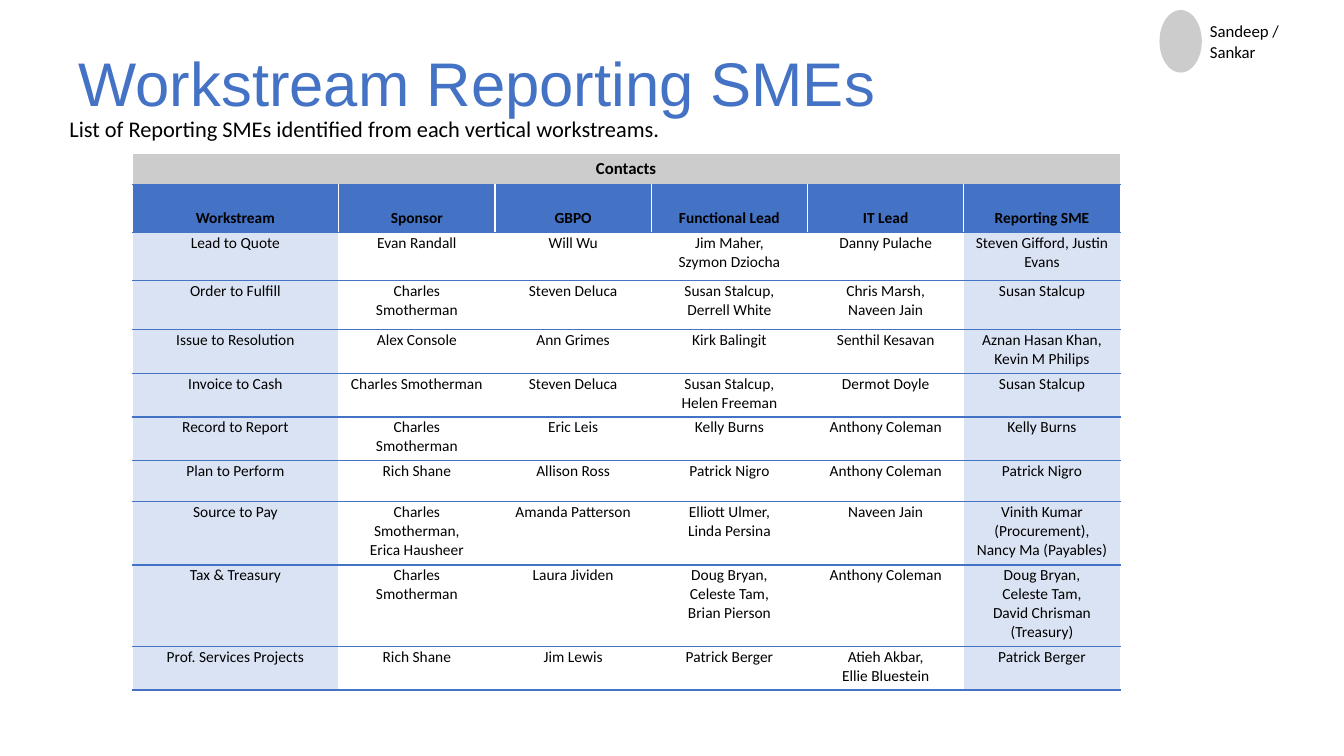
from lxml.etree import SubElement
from pptx import Presentation
from pptx.dml.color import RGBColor
from pptx.enum.shapes import MSO_SHAPE
from pptx.enum.text import MSO_ANCHOR, MSO_AUTO_SIZE, PP_ALIGN
from pptx.oxml.ns import qn
from pptx.util import Inches, Pt

SLIDE_WIDTH, SLIDE_HEIGHT = Inches(13.33), Inches(7.5)
COLORS = {
    "accent": "4472C4",
    "tint": "DAE3F3",
    "grey": "CCCCCC",
    "white": "FFFFFF",
    "black": "000000",
}

# Places as percent of the slide: left, top, width, height
PLACES = {
    "title": (5.1, 8.27, 85.97, 6.27),
    "subtitle": (4.43, 14.53, 90.85, 4.93),
    "contacts": (9.83, 20.35, 73.5, 70.8),
    "marker": (86.27, 1.33, 3.15, 8.27),
    "owner": (88.52, 2.8, 10.2, 5.33),
}
COLUMN_WIDTHS = [2.05] + [1.55] * 5
ROW_HEIGHTS = [0.29, 0.48, 0.48, 0.48, 0.44, 0.43, 0.43, 0.41, 0.63, 0.81, 0.43]

HEADINGS = ["Workstream", "Sponsor", "GBPO", "Functional Lead", "IT Lead", "Reporting SME"]
CONTACTS = [
    ["Lead to Quote", "Evan Randall", "Will Wu", "Jim Maher,\nSzymon Dziocha",
     "Danny Pulache", "Steven Gifford, Justin Evans"],
    ["Order to Fulfill", "Charles\nSmotherman", "Steven Deluca",
     "Susan Stalcup,\nDerrell White", "Chris Marsh,\nNaveen Jain", "Susan Stalcup"],
    ["Issue to Resolution", "Alex Console", "Ann Grimes", "Kirk Balingit",
     "Senthil Kesavan", "Aznan Hasan Khan,\nKevin M Philips"],
    ["Invoice to Cash", "Charles Smotherman", "Steven Deluca",
     "Susan Stalcup,\nHelen Freeman", "Dermot Doyle", "Susan Stalcup"],
    ["Record to Report", "Charles\nSmotherman", "Eric Leis", "Kelly Burns",
     "Anthony Coleman", "Kelly Burns"],
    ["Plan to Perform", "Rich Shane", "Allison Ross", "Patrick Nigro",
     "Anthony Coleman", "Patrick Nigro"],
    ["Source to Pay", "Charles\nSmotherman,\nErica Hausheer", "Amanda Patterson",
     "Elliott Ulmer,\nLinda Persina", "Naveen Jain",
     "Vinith Kumar (Procurement),\nNancy Ma (Payables)"],
    ["Tax & Treasury", "Charles\nSmotherman", "Laura Jividen",
     "Doug Bryan,\nCeleste Tam,\nBrian Pierson", "Anthony Coleman",
     "Doug Bryan,\nCeleste Tam,\nDavid Chrisman (Treasury)"],
    ["Prof. Services Projects", "Rich Shane", "Jim Lewis", "Patrick Berger",
     "Atieh Akbar,\nEllie Bluestein", "Patrick Berger"],
]


def color(name):
    return RGBColor.from_string(COLORS[name])


def set_values(target, values):
    for name, value in values.items():
        setattr(target, name, value)


def place(name):
    left, top, width, height = PLACES[name]
    return (int(SLIDE_WIDTH * left / 100), int(SLIDE_HEIGHT * top / 100),
            int(SLIDE_WIDTH * width / 100), int(SLIDE_HEIGHT * height / 100))


def write(text_frame, text, size, font="Calibri", ink="black", bold=False,
          alignment=PP_ALIGN.LEFT):
    paragraph = text_frame.paragraphs[0]
    paragraph.text = text
    paragraph.alignment = alignment
    # Fonts go on the runs, so that line breaks inside a cell keep them
    for run in paragraph.runs:
        set_values(run.font, {"name": font, "size": Pt(size), "bold": bold})
        run.font.color.rgb = color(ink)
    return paragraph


def add_title(slide, text):
    title = slide.shapes.title
    set_values(title, dict(zip(("left", "top", "width", "height"), place("title"))))
    set_values(title.text_frame, {
        "auto_size": MSO_AUTO_SIZE.NONE,
        "vertical_anchor": MSO_ANCHOR.MIDDLE,
        "word_wrap": True,
    })
    paragraph = write(title.text_frame, text, 44, "Arial", "accent")
    paragraph.line_spacing = 0.9


def add_text(slide, name, text, size, **frame_values):
    text_frame = slide.shapes.add_textbox(*place(name)).text_frame
    set_values(text_frame, {"word_wrap": True, **frame_values})
    write(text_frame, text, size)


def add_marker(slide):
    marker = slide.shapes.add_shape(MSO_SHAPE.FLOWCHART_CONNECTOR, *place("marker"))
    marker.shadow.inherit = False
    marker.fill.solid()
    marker.fill.fore_color.rgb = color("grey")
    marker.line.fill.background()


def set_borders(cell, sides):
    properties = cell._tc.get_or_add_tcPr()
    for position, (side, name) in enumerate(sides.items()):
        line = SubElement(properties, qn(f"a:ln{side}"), w=str(Pt(1)))
        fill = SubElement(line, qn("a:solidFill"))
        SubElement(fill, qn("a:srgbClr"), val=COLORS[name])
        properties.insert(position, line)


def format_cell(cell, text, fill, anchor, size=11, bold=False, top="accent", tight=True):
    cell.fill.solid()
    cell.fill.fore_color.rgb = color(fill)
    cell.vertical_anchor = anchor
    if tight:
        edge = Inches(0.01)
        set_values(cell, {"margin_left": edge, "margin_right": edge,
                          "margin_top": edge, "margin_bottom": Inches(0.05)})
    set_borders(cell, {"L": "white", "R": "white", "T": top, "B": "accent"})
    write(cell.text_frame, text, size, bold=bold, alignment=PP_ALIGN.CENTER)


def add_contacts(slide):
    table = slide.shapes.add_table(
        len(ROW_HEIGHTS), len(COLUMN_WIDTHS), *place("contacts")).table
    set_values(table, {"first_row": False, "horz_banding": False})
    for column, width in zip(table.columns, COLUMN_WIDTHS):
        column.width = Inches(width)
    for row, height in zip(table.rows, ROW_HEIGHTS):
        row.height = Inches(height)

    # Banner across all columns
    last_column = len(COLUMN_WIDTHS) - 1
    table.cell(0, 0).merge(table.cell(0, last_column))
    for index in range(len(COLUMN_WIDTHS)):
        format_cell(table.cell(0, index), "" if index else "Contacts", "grey",
                    MSO_ANCHOR.MIDDLE, 12, True, "white", False)

    # Headings, then one row per workstream with tinted outer columns
    for index, heading in enumerate(HEADINGS):
        format_cell(table.cell(1, index), heading, "accent", MSO_ANCHOR.BOTTOM, bold=True)
    for row, names in enumerate(CONTACTS, start=2):
        for index, name in enumerate(names):
            fill = "tint" if index in (0, last_column) else "white"
            format_cell(table.cell(row, index), name, fill, MSO_ANCHOR.TOP)


def main():
    presentation = Presentation()
    set_values(presentation, {"slide_width": SLIDE_WIDTH, "slide_height": SLIDE_HEIGHT})
    slide = presentation.slides.add_slide(presentation.slide_layouts[5])

    # Heading
    add_text(slide, "subtitle",
             "List of Reporting SMEs identified from each vertical workstreams.", 16)
    add_title(slide, "Workstream Reporting SMEs")

    # Contact table
    add_contacts(slide)

    # Owners in the corner
    add_marker(slide)
    inset = Inches(0.2)
    add_text(slide, "owner", "Sandeep / Sankar", 12, vertical_anchor=MSO_ANCHOR.MIDDLE,
             margin_left=inset, margin_right=inset, margin_top=inset, margin_bottom=inset)

    presentation.save("out.pptx")


if __name__ == "__main__":
    main()
